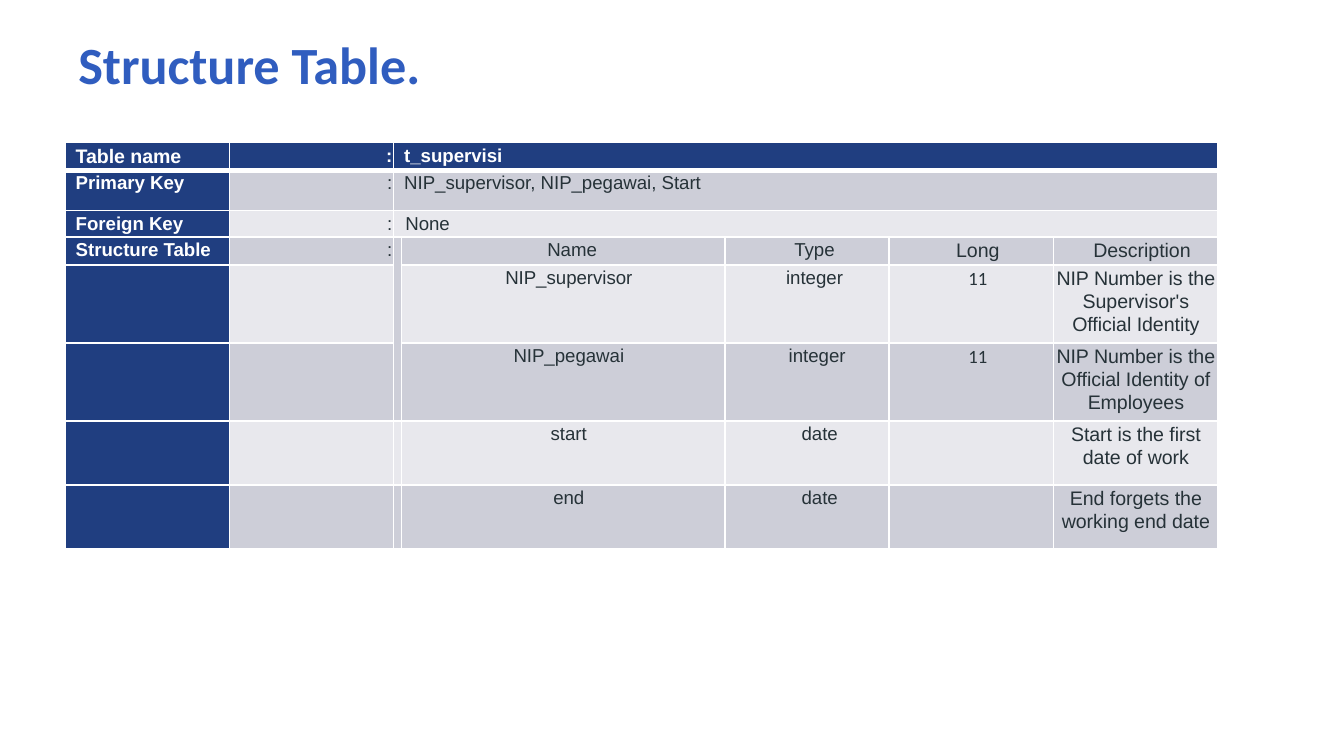
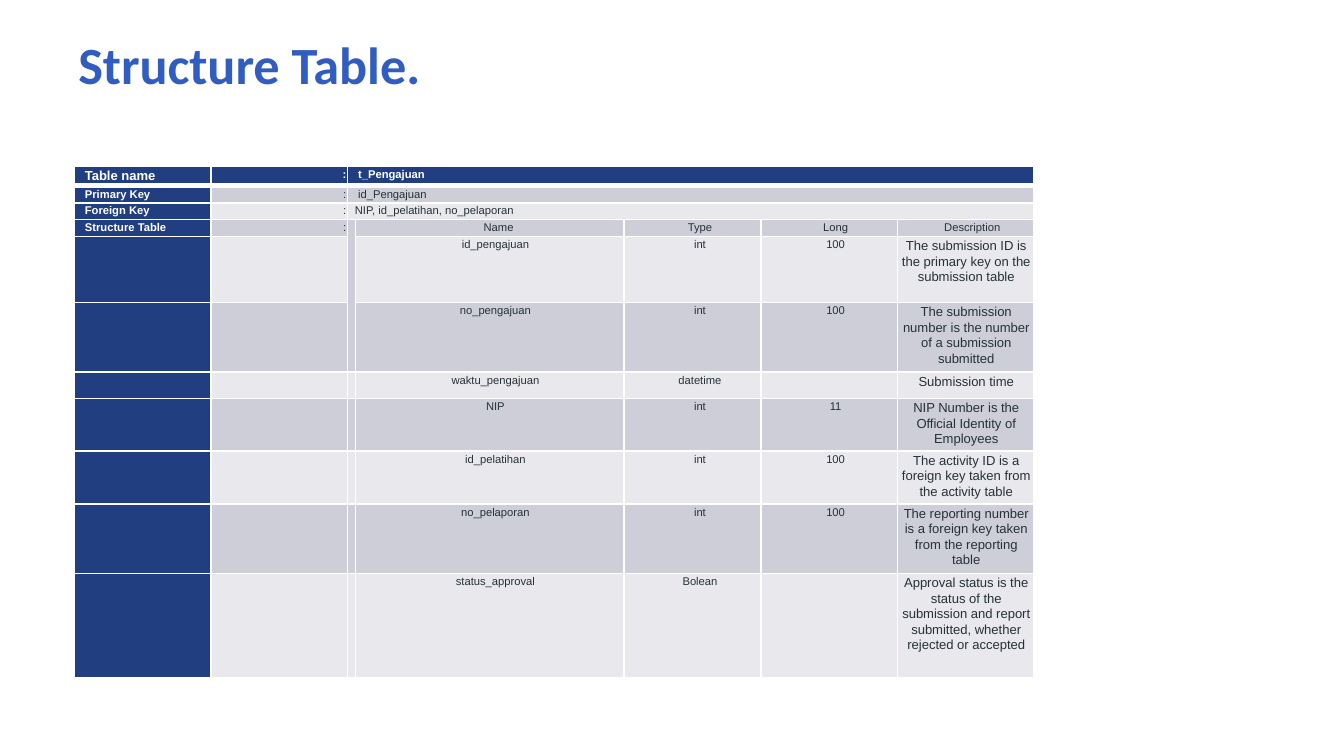
"""Build two slides that describe the structure of database tables."""
from lxml.etree import SubElement
from pptx import Presentation
from pptx.dml.color import RGBColor
from pptx.enum.text import MSO_ANCHOR as Anchor, PP_ALIGN as Align
from pptx.oxml.ns import qn
from pptx.util import Pt

COLORS = {"title": "305DBF", "navy": "203E80", "dark_band": "CDCED8",
          "light_band": "E8E8ED", "text": "263238", "white": "FFFFFF"}
HEADINGS = ["Name", "Type", "Long", "Description"]
HEADING_INDENTS = [9.5, 8, 7, 7]
FIELD_INDENTS = [6, 8, 7, 0.5]
MARGIN = 0.7
LABEL_INDENT = 5

TABLES = [
    {
        "name": "t_supervisi",
        "primary": "NIP_supervisor, NIP_pegawai, Start",
        "foreign": "None",
        "fields": [
            ("NIP_supervisor", "integer", "11", "NIP Number is the Supervisor's Official Identity"),
            ("NIP_pegawai", "integer", "11", "NIP Number is the Official Identity of Employees"),
            ("start", "date", "", "Start is the first date of work"),
            ("end", "date", "", "End forgets the working end date"),
        ],
        "type_shifts": [0, 2.8, 5.6, 5.6],
        "left": 34.9, "top": 76.4,
        "label_width": 88, "name_width": 173.3,
        "heights": [13.7, 21.6, 13.7, 14.4, 41, 41, 34.4, 34.4],
        "size": 10, "large_size": 10.5, "heading_sizes": [10, 10, 10.5, 10.5],
        "foreign_indent": 5.6, "number_font": "Calibri",
    },
    {
        "name": "t_Pengajuan",
        "primary": "id_Pengajuan",
        "foreign": "NIP, id_pelatihan, no_pelaporan",
        "fields": [
            ("id_pengajuan", "int", "100", "The submission ID is the primary key on the submission table"),
            ("no_pengajuan", "int", "100", "The submission number is the number of a submission submitted"),
            ("waktu_pengajuan", "datetime", "", "Submission time"),
            ("NIP", "int", "11", "NIP Number is the Official Identity of Employees"),
            ("id_pelatihan", "int", "100", "The activity ID is a foreign key taken from the activity table"),
            ("no_pelaporan", "int", "100", "The reporting number is a foreign key taken from the reporting table"),
            ("status_approval", "Bolean", "", "Approval status is the status of the submission and report "
                                              "submitted, whether rejected or accepted"),
        ],
        "type_shifts": [0] * 7,
        "left": 39.8, "top": 89.2,
        "label_width": 73.2, "name_width": 144,
        "heights": [9.6, 8, 8, 8.2, 35.3, 35.3, 14.2, 6.5, 28.1, 26.6, 55.8],
        "size": 6, "large_size": 7, "heading_sizes": [6] * 4,
        "foreign_indent": 3.3, "number_font": "Arial",
    },
]


def style_run(run, size, font, color, bold):
    run.font.size = Pt(size)
    run.font.name = font
    run.font.bold = bold
    run.font.color.rgb = RGBColor.from_string(COLORS[color])


def style_cell(cell, row, fill):
    properties = cell._tc.get_or_add_tcPr()
    widths = {"lnL": 1, "lnR": 1, "lnT": 3 if row == 1 else 1, "lnB": 3 if row == 0 else 1}
    for side, width in widths.items():
        line = SubElement(properties, qn(f"a:{side}"), w=str(Pt(width)))
        solid = SubElement(line, qn("a:solidFill"))
        SubElement(solid, qn("a:srgbClr"), val=COLORS["white"])
    cell.fill.solid()
    cell.fill.fore_color.rgb = RGBColor.from_string(COLORS[fill])
    cell.margin_left = cell.margin_right = Pt(MARGIN)
    cell.margin_top = cell.margin_bottom = Pt(MARGIN)


presentation = Presentation()
presentation.slide_width = Pt(720)
presentation.slide_height = Pt(405)

for details in TABLES:
    slide = presentation.slides.add_slide(presentation.slide_layouts[6])

    title = slide.shapes.add_textbox(Pt(34.9), Pt(0), Pt(534), Pt(67.7))
    frame = title.text_frame
    frame.word_wrap = True
    frame.vertical_anchor = Anchor.MIDDLE
    frame.margin_left = frame.margin_right = Pt(7.2)
    frame.margin_top = frame.margin_bottom = Pt(7.2)
    frame.text = "Structure Table."
    style_run(frame.paragraphs[0].runs[0], 28, "Calibri", "title", True)

    rows = [
        ["Table name", ":", details["name"]] + [""] * 4,
        ["Primary Key", ":", details["primary"]] + [""] * 4,
        ["Foreign Key", ":", details["foreign"]] + [""] * 4,
        ["Structure Table", ":", "", *HEADINGS],
    ]
    rows += [["", "", "", *field] for field in details["fields"]]

    label_width = details["label_width"]
    widths = [label_width, label_width, 4, details["name_width"]] + [label_width] * 3
    heights = details["heights"]
    table = slide.shapes.add_table(len(rows), len(widths), Pt(details["left"]), Pt(details["top"]),
                                   Pt(sum(widths)), Pt(sum(heights))).table
    table.first_row = table.horz_banding = False
    for column, width in zip(table.columns, widths):
        column.width = Pt(width)
    for table_row, height in zip(table.rows, heights):
        table_row.height = Pt(height)

    for row, texts in enumerate(rows):
        band = "dark_band" if row % 2 else "light_band"
        for column, text in enumerate(texts):
            cell = table.cell(row, column)
            strong = row == 0 or column == 0
            style_cell(cell, row, "navy" if strong else band)
            paragraph = cell.text_frame.paragraphs[0]
            if not text:
                SubElement(paragraph._p, qn("a:endParaRPr"), sz=str(details["size"] * 100))
                continue

            size, font, indent, align = details["size"], "Arial", LABEL_INDENT, Align.LEFT
            if column == 1:
                indent, align = 0, Align.RIGHT
            elif column > 2:
                align = Align.CENTER
                if row == 3:
                    size = details["heading_sizes"][column - 3]
                    indent = HEADING_INDENTS[column - 3]
                else:
                    indent = FIELD_INDENTS[column - 3]
                    if column == 4:
                        indent += details["type_shifts"][row - 4]
                    elif column == 5:
                        font = details["number_font"]
                    elif column == 6:
                        size = details["large_size"]
            elif (row, column) == (0, 0):
                size = details["large_size"]
            elif (row, column) == (2, 2):
                indent = details["foreign_indent"]

            paragraph.text = text
            paragraph.alignment = align
            paragraph.line_spacing = 1.07
            paragraph.space_before = Pt(0.3 if row == 3 and column > 2 else 0.1)
            paragraph.space_after = Pt(8)
            paragraph_properties = paragraph._p.get_or_add_pPr()
            paragraph_properties.set("marL", str(Pt(indent)))
            paragraph_properties.set("indent", "0")
            style_run(paragraph.runs[0], size, font, "white" if strong else "text", strong)

    for row in range(3):
        table.cell(row, 2).merge(table.cell(row, 6))
    table.cell(3, 2).merge(table.cell(5, 2))

presentation.save("out.pptx")
